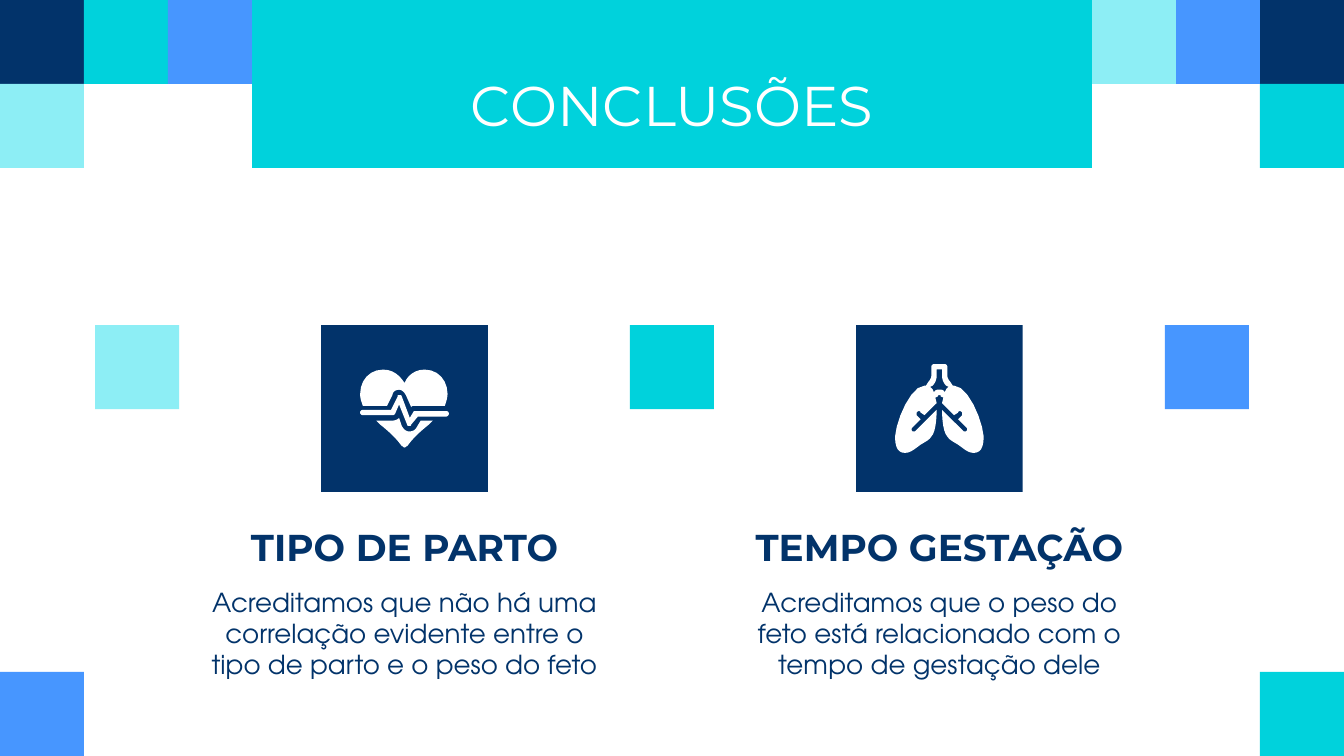
from pptx import Presentation
from pptx.dml.color import RGBColor
from pptx.enum.shapes import MSO_SHAPE as Shape
from pptx.enum.text import MSO_ANCHOR as Anchor, PP_ALIGN as Align
from pptx.util import Inches, Pt

NAVY, CYAN, BLUE, PALE, WHITE = "02336A", "00D2DC", "4796FF", "8DEEF5", "FFFFFF"
SIDE, WIDTH, HEIGHT, CENTER = 0.625, 10, 5.625, 5
STEP, ICON_SIDE, ICON_TOP = 3.98, 1.24, 2.42

HEART_PARTS = [
    "M 297 294 C 296 294 296 294 296 295 L 291 305 L 270 305 C 269 305 268 306 268 307 "
    "C 268 308 269 309 270 309 L 292 309 C 293 309 293 309 294 308 L 297 301 L 303 316 "
    "C 303 317 304 317 304 317 L 305 317 C 305 317 306 317 306 316 L 311 310 L 332 310 "
    "C 333 310 334 309 334 308 C 334 306 333 306 332 306 L 310 306 C 309 306 308 306 308 306 "
    "L 305 311 L 299 295 C 299 294 298 294 297 294",
    "M 285 275 C 275 275 268 283 268 293 C 268 297 269 299 270 302 L 288 302 L 292 294 "
    "C 292 292 294 290 297 290 C 299 290 301 292 302 294 L 306 303 C 306 302 308 302 309 302 "
    "L 331 302 C 332 299 333 296 333 293 C 333 283 326 275 316 275 C 308 275 303 280 301 285 "
    "C 298 280 293 275 285 275",
    "M 297 311 C 296 312 294 313 292 313 L 280 313 C 281 314 282 315 283 316 "
    "C 288 320 294 325 299 332 C 300 332 300 333 301 333 C 302 333 302 332 303 332 "
    "C 308 325 314 320 319 316 C 320 315 321 314 322 313 L 313 313 L 310 318 "
    "C 309 320 307 321 305 321 L 304 321 C 302 321 300 319 299 317",
]
LUNG_HALF = (
    "M 699 271 L 695 271 C 694 271 693 272 693 273 L 693 280 C 693 281 692 283 691 284 "
    "L 689 287 L 688 287 C 678 287 667 312 666 325 C 666 334 669 337 673 337 L 674 337 "
    "C 678 337 682 333 685 331 C 688 329 691 328 693 325 C 696 322 697 313 697 305 "
    "L 681 321 C 681 321 680 321 680 321 C 679 321 679 321 679 321 C 678 320 678 319 679 318 "
    "L 685 312 L 682 309 C 682 308 682 307 682 307 C 683 306 683 306 684 306 "
    "C 684 306 685 306 685 307 L 688 309 L 697 300 L 696 296 L 698 295 C 698 294 698 294 699 294"
)
WINDPIPE_HALF = (
    "M 699 275 L 697 275 L 697 280 C 697 282 696 285 694 287 L 692 288 "
    "C 694 289 694 290 695 292 C 696 290 697 290 699 290"
)
COLUMNS = [
    ("TIPO DE PARTO", "Acreditamos que não há uma correlação evidente entre o tipo de parto e o peso do feto"),
    ("TEMPO GESTAÇÃO", "Acreditamos que o peso do feto está relacionado com o tempo de gestação dele"),
]


def color(value):
    return RGBColor.from_string(value)


def trace(outline, steps=6):
    tokens, points, index = outline.split(), [], 0
    while index < len(tokens):
        count = 6 if tokens[index] == "C" else 2
        values = [int(token) / 100 for token in tokens[index + 1:index + 1 + count]]
        pairs = list(zip(values[::2], values[1::2]))
        if count == 6:
            curve = [points[-1]] + pairs
            for step in range(1, steps + 1):
                t = step / steps
                weights = ((1 - t) ** 3, 3 * t * (1 - t) ** 2, 3 * t * t * (1 - t), t ** 3)
                points.append(tuple(sum(w * p[axis] for w, p in zip(weights, curve)) for axis in (0, 1)))
        else:
            points += pairs
        index += count + 1
    return points


def mirror(points):
    axis = points[0][0]
    return points + [(2 * axis - x, y) for x, y in reversed(points)]


class SlideMaker:
    """Draws styled elements on the current slide."""

    def __init__(self, deck):
        self.page = deck.slides.add_slide(deck.slide_layouts[6])
        self.heading_font, self.body_font = "Montserrat", "TeX Gyre Adventor"

    def paint(self, shape, fill):
        shape.shadow.inherit = False
        shape.fill.solid()
        shape.fill.fore_color.rgb = color(fill)
        shape.line.fill.background()
        return shape

    def box(self, left, top, width, height, fill):
        shape = self.page.shapes.add_shape(
            Shape.RECTANGLE, Inches(left), Inches(top), Inches(width), Inches(height))
        return self.paint(shape, fill)

    def square(self, left, top, fill, side=SIDE):
        return self.box(left, top, side, side, fill)

    def outline(self, contours, fill):
        scaled = [[(Inches(x), Inches(y)) for x, y in points] for points in contours]
        builder = self.page.shapes.build_freeform(*scaled[0][0], scale=1.0)
        for number, points in enumerate(scaled):
            if number:
                builder.move_to(*points[0])
            builder.add_line_segments(points[1:], close=True)
        return self.paint(builder.convert_to_shape(), fill)

    def set_text(self, shape, text, size, font, ink, anchor, insets=(0.1, 0.1, 0.1, 0.1), bold=False):
        frame = shape.text_frame
        frame.text = text
        frame.word_wrap = True
        frame.vertical_anchor = anchor
        frame.margin_left, frame.margin_top, frame.margin_right, frame.margin_bottom = map(Inches, insets)
        para = frame.paragraphs[0]
        para.alignment = Align.CENTER
        style = para.runs[0].font
        style.size, style.name, style.bold = Pt(size), font, bold
        style.color.rgb = color(ink)

    def label(self, left, top, width, height, *style, **options):
        shape = self.page.shapes.add_textbox(Inches(left), Inches(top), Inches(width), Inches(height))
        self.set_text(shape, *style, **options)


def main():
    deck = Presentation()
    deck.slide_width, deck.slide_height = Inches(WIDTH), Inches(HEIGHT)
    maker = SlideMaker(deck)

    for number, (left_fill, right_fill) in enumerate([(NAVY, NAVY), (CYAN, BLUE), (BLUE, PALE)]):
        maker.square(number * SIDE, 0, left_fill)
        maker.square(WIDTH - (number + 1) * SIDE, 0, right_fill)
    for top, left_fill, right_fill in [(SIDE, PALE, CYAN), (HEIGHT - SIDE, BLUE, CYAN)]:
        maker.square(0, top, left_fill)
        maker.square(WIDTH - SIDE, top, right_fill)

    banner = maker.box(3 * SIDE, 0, WIDTH - 6 * SIDE, 2 * SIDE, CYAN)
    maker.set_text(banner, "CONCLUSÕES", 30, maker.heading_font, WHITE, Anchor.MIDDLE, (0.1, 0.3, 0.1, 0))

    for number, fill in enumerate([PALE, CYAN, BLUE]):
        maker.square(CENTER + (number - 1) * STEP - SIDE / 2, ICON_TOP, fill)

    for number, (heading, body) in enumerate(COLUMNS):
        middle = CENTER + (number - 0.5) * STEP
        maker.square(middle - ICON_SIDE / 2, ICON_TOP, NAVY, ICON_SIDE)
        maker.label(middle - 1.51, 3.78, 3.02, 0.55, heading, 20, maker.heading_font, NAVY,
                    Anchor.BOTTOM, bold=True)
        maker.label(middle - 1.61, 4.26, 3.22, 0.9, body, 14, maker.body_font, NAVY, Anchor.TOP)

    for part in HEART_PARTS:
        maker.outline([trace(part)], WHITE)
    maker.outline([mirror(trace(half)) for half in (LUNG_HALF, WINDPIPE_HALF)], WHITE)
    deck.save("out.pptx")


if __name__ == "__main__":
    main()
